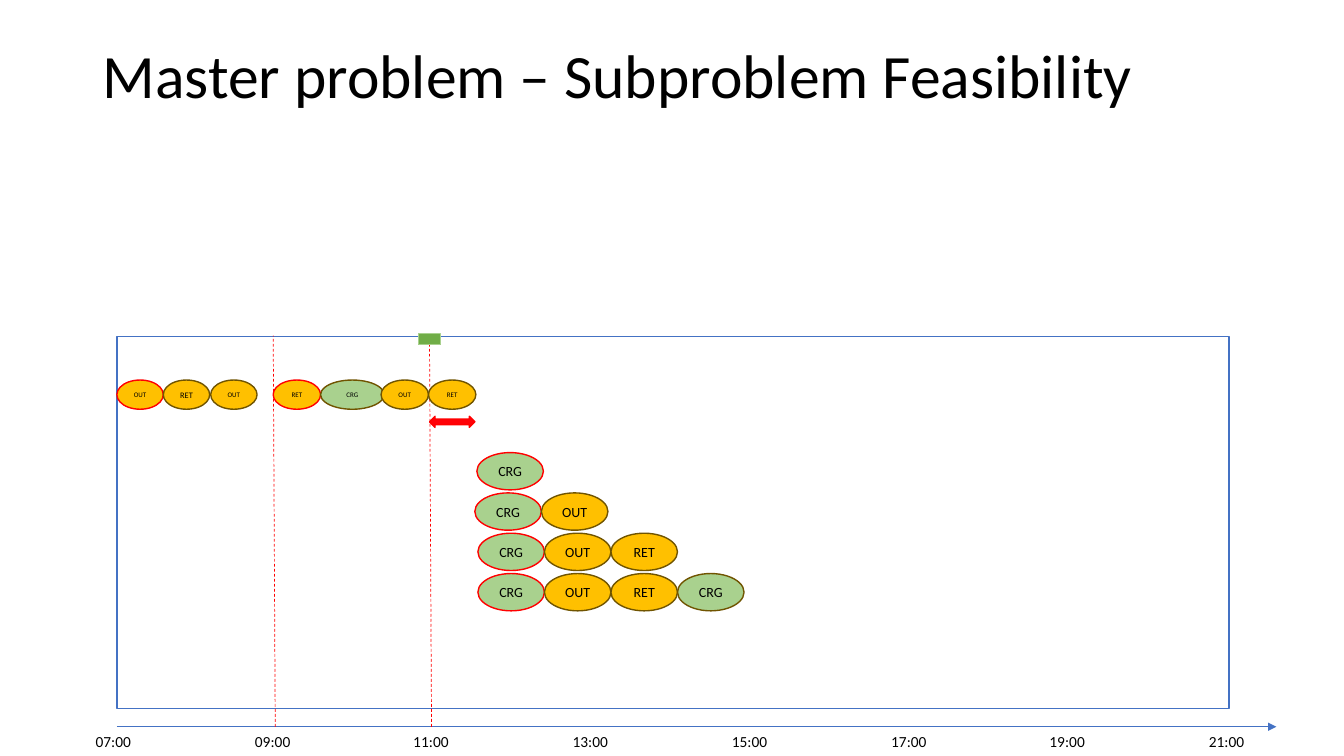
from lxml import etree
from pptx import Presentation
from pptx import util as u
from pptx.dml.color import RGBColor
from pptx.enum import dml, shapes, text
from pptx.oxml.ns import qn

PX = 9144  # EMU per px, 100 px to the inch
COLORS = {
    "black": "000000", "blue": "4472C4", "red": "FF0000", "arrow": "FF0208",
    "amber": "FFC000", "brown": "705400", "sage": "A9D18E", "green": "70AD47",
}
TASK_FILL = {"OUT": "amber", "RET": "amber", "CRG": "sage"}
FONT = "Calibri"

# Small tasks: name, left, width, text size, first of its route
DONE_TASKS = [
    ("OUT", 0, 46, 5, True), ("RET", 46, 46, 6, False), ("OUT", 93, 46, 5, False),
    ("RET", 155, 47, 5, True), ("CRG", 202, 63, 5, False),
    ("OUT", 262, 47, 5, False), ("RET", 309, 47, 5, False),
]
# Candidate routes: left, task names
ROUTES = [
    (357, ["CRG"]),
    (355, ["CRG", "OUT"]),
    (358, ["CRG", "OUT", "RET"]),
    (358, ["CRG", "OUT", "RET", "CRG"]),
]


def rgb(name):
    return RGBColor.from_string(COLORS[name])


def emu(*lengths):
    return [u.Emu(n * PX) for n in lengths]


def style_run(p, size):
    font = p.runs[0].font
    font.name, font.size = FONT, u.Pt(size)
    font.color.rgb = rgb("black")


def add_text(s, box, words, size, wrap=True, spacing=None):
    tf = s.shapes.add_textbox(*emu(*box)).text_frame
    tf.word_wrap = wrap
    p = tf.paragraphs[0]
    p.text = words
    p.line_spacing = spacing
    style_run(p, size)


def add_block(s, kind, box, fill, line):
    sp = s.shapes.add_shape(kind, *emu(*box))
    sp.shadow.inherit = False
    if fill:
        sp.fill.solid()
        sp.fill.fore_color.rgb = rgb(fill)
    else:
        sp.fill.background()
    sp.line.color.rgb = rgb(line)
    sp.line.width = u.Pt(1)
    return sp


def add_task(s, box, name, size, first):
    sp = add_block(s, shapes.MSO_SHAPE.OVAL, box, TASK_FILL[name],
                   "red" if first else "brown")
    tf = sp.text_frame
    tf.word_wrap = False
    tf.vertical_anchor = text.MSO_ANCHOR.MIDDLE
    tf.margin_left = tf.margin_right = tf.margin_top = tf.margin_bottom = 0
    p = tf.paragraphs[0]
    p.text = name
    p.alignment = text.PP_ALIGN.CENTER
    style_run(p, size)


def add_line(s, ends, color, width):
    line = s.shapes.add_connector(shapes.MSO_CONNECTOR.STRAIGHT, *emu(*ends))
    line.line.color.rgb = rgb(color)
    line.line.width = u.Pt(width)
    etree.SubElement(line._element.spPr, qn("a:effectLst"))
    return line


def add_time_axis(s, box):
    left, top, width, height = box
    axis = add_line(s, (left, top, left + width, top), "blue", 1)
    etree.SubElement(axis.line._get_or_add_ln(), qn("a:tailEnd"), type="triangle")
    for i, hour in enumerate(range(7, 22, 2)):
        x = left - 31 + round(i * 1104 / 7)
        add_text(s, (x, top, 61, height), f"{hour:02d}:00", 11, wrap=False)


def add_schedule(s, box):
    left, top, width, height = box
    add_block(s, shapes.MSO_SHAPE.FLOWCHART_PROCESS, box, None, "blue")

    # Decision times
    for x in (left + 155, left + 310):
        mark = add_line(s, (x + 2, top + 387, x, top - 1), "red", 0.5)
        mark.line.dash_style = dml.MSO_LINE.DASH

    # Tasks already planned
    for name, x, w, size, first in DONE_TASKS:
        add_task(s, (left + x, top + 43, w, 29), name, size, first)

    # Current time and delay
    add_block(s, shapes.MSO_SHAPE.FLOWCHART_PROCESS,
              (left + 299, top - 3, 22, 11), "green", "sage")
    add_block(s, shapes.MSO_SHAPE.LEFT_RIGHT_ARROW,
              (left + 310, top + 79, 45, 11), "arrow", "red")

    # Candidate routes
    for row, (x, names) in enumerate(ROUTES):
        for col, name in enumerate(names):
            add_task(s, (left + x + 66 * col, top + 115 + 40 * row, 66, 37),
                     name, 10, col == 0)


def main():
    prs = Presentation()
    prs.slide_width, prs.slide_height = emu(1333, 750)
    s = prs.slides.add_slide(prs.slide_layouts[6])
    add_text(s, (92, 40, 1150, 145), "Master problem – Subproblem Feasibility",
             44, spacing=0.9)
    add_time_axis(s, (116, 721, 1150, 29))
    add_schedule(s, (116, 334, 1103, 369))
    prs.save("out.pptx")


if __name__ == "__main__":
    main()
